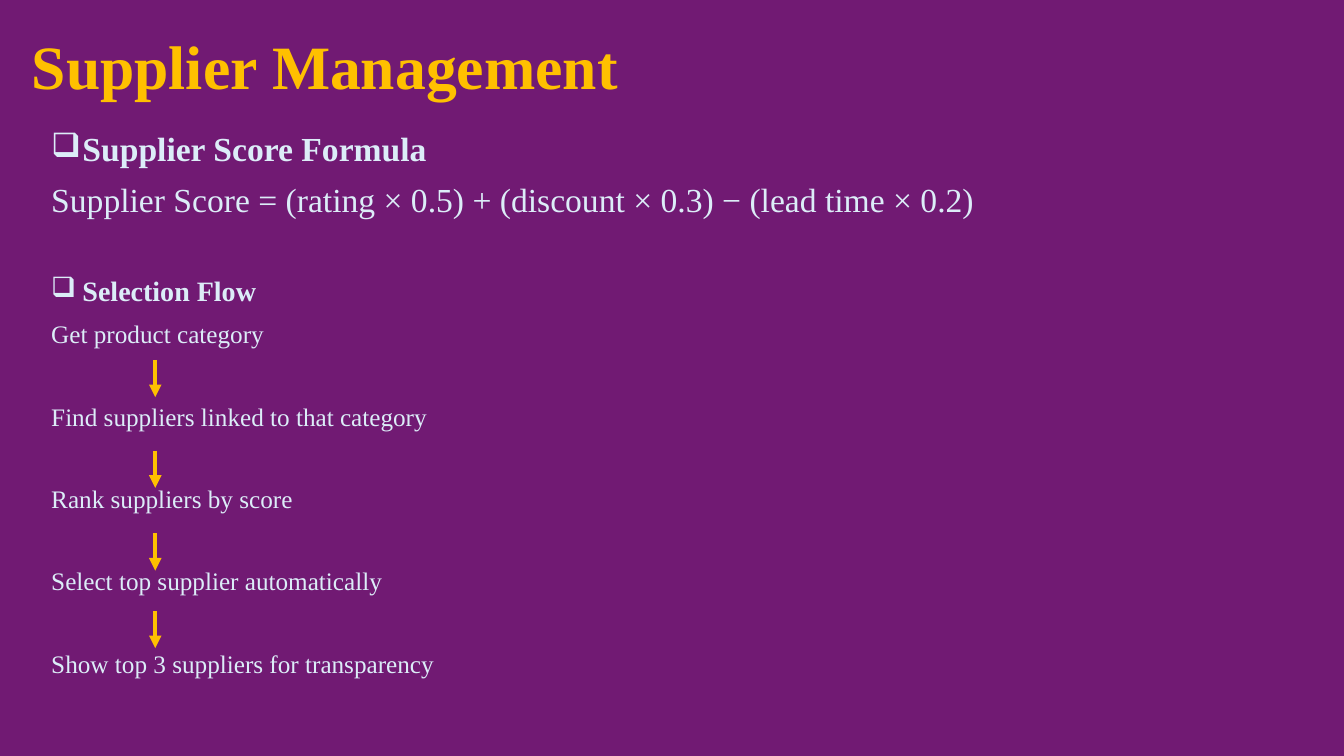
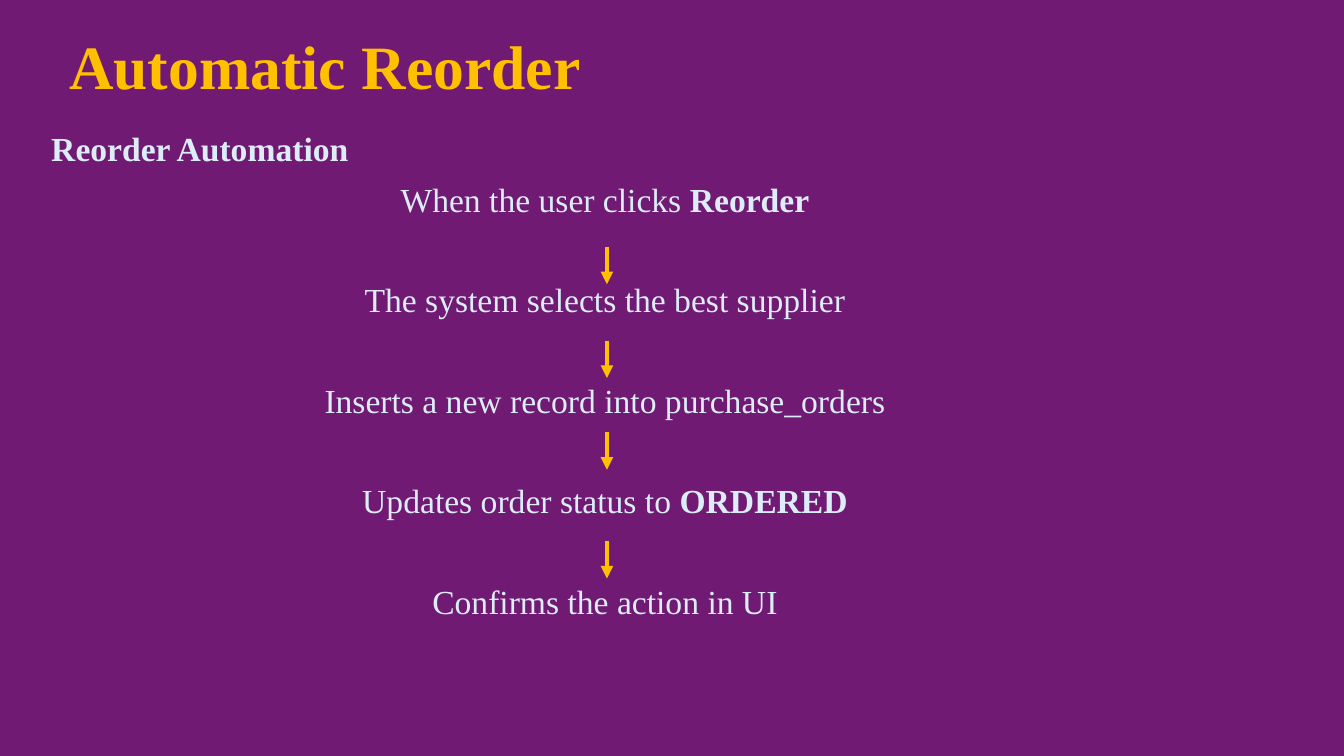
import pptx
import pptx.dml.color
import pptx.enum.dml
import pptx.enum.shapes
import pptx.enum.text
import pptx.oxml
import pptx.oxml.ns
import pptx.util

Inches = pptx.util.Inches
Pt = pptx.util.Pt
ALIGN = pptx.enum.text.PP_ALIGN

COLORS = {"background": "711A73", "accent": "FFC000", "text": "DCEDF8"}
FONT = "Times New Roman"
LINE_SPACING = 0.9
PARAGRAPH_GAP = 10
ARROW_LENGTH = 0.37
BULLET_INDENT = Inches(0.31)


def rgb(name):
    return pptx.dml.color.RGBColor.from_string(COLORS[name])


def add_xml(parent, tag, **attributes):
    child = pptx.oxml.parse_xml(f"<a:{tag} {pptx.oxml.ns.nsdecls('a')}/>")
    for key, value in attributes.items():
        child.set(key, value)
    parent.append(child)


class FlowDeck:
    """Holds the shared style, the current page and its body text box."""

    def __init__(self):
        self.deck = pptx.Presentation()
        self.deck.slide_width = Inches(13.33)
        self.deck.slide_height = Inches(7.5)
        fill = self.deck.slide_master.background.fill
        fill.solid()
        fill.fore_color.rgb = rgb("background")

    def style_span(self, span, size, color, bold):
        span.font.name = FONT
        span.font.size = Pt(size)
        span.font.bold = bold
        span.font.color.rgb = rgb(color)

    def add_page(self, title):
        self.page = self.deck.slides.add_slide(self.deck.slide_layouts[5])
        box = self.page.shapes.title
        box.left, box.top = Inches(0), Inches(0.08)
        box.width, box.height = Inches(6.45), Inches(0.99)
        frame = box.text_frame
        frame.text = title
        frame.auto_size = pptx.enum.text.MSO_AUTO_SIZE.NONE
        frame.vertical_anchor = pptx.enum.text.MSO_ANCHOR.BOTTOM
        para = frame.paragraphs[0]
        para.alignment = ALIGN.CENTER
        para.line_spacing = LINE_SPACING
        self.style_span(para.runs[0], 44, "accent", True)

        body = self.page.shapes.add_textbox(
            Inches(0.41), Inches(1.27), Inches(11.18), Inches(6))
        self.body = body.text_frame
        self.body.word_wrap = True

    def add_line(self, text, size, strong="", align=ALIGN.LEFT, skip=False, bullet=False):
        """Add a body paragraph ending in bold `strong`; `skip` leaves a line's gap above."""
        para = self.body.paragraphs[0]
        if para.runs:
            para = self.body.add_paragraph()
        para.alignment = align
        para.line_spacing = LINE_SPACING
        gap = PARAGRAPH_GAP
        if skip:
            gap += PARAGRAPH_GAP + 1.2 * LINE_SPACING * size
        para.space_before = Pt(round(gap, 1))
        for content, bold in ((text, False), (strong, True)):
            if content:
                span = para.add_run()
                span.text = content
                self.style_span(span, size, "text", bold)
        if bullet:
            properties = para._p.get_or_add_pPr()
            properties.set("marL", str(BULLET_INDENT))
            properties.set("indent", str(-BULLET_INDENT))
            add_xml(properties, "buChar", char="❑")

    def add_steps(self, steps, size, align=ALIGN.LEFT):
        for index, (text, strong) in enumerate(steps):
            self.add_line(text, size, strong, align, skip=index > 0)

    def add_arrows(self, x, tops):
        for top in tops:
            arrow = self.page.shapes.add_connector(
                pptx.enum.shapes.MSO_CONNECTOR.STRAIGHT,
                Inches(x), Inches(top), Inches(x), Inches(top + ARROW_LENGTH))
            arrow.line.color.rgb = rgb("accent")
            arrow.line.width = Pt(3)
            add_xml(arrow.line._get_or_add_ln(), "tailEnd", type="triangle")
            add_xml(arrow._element.spPr, "effectLst")


def build_supplier_page(flow):
    flow.add_page("Supplier Management")
    flow.add_line("", 24, "Supplier Score Formula", bullet=True)
    flow.add_line("Supplier Score = (rating × 0.5) + (discount × 0.3) − (lead time × 0.2)", 24)
    flow.add_line("", 20, "Selection Flow", skip=True, bullet=True)
    flow.add_steps([
        ("Get product category", ""),
        ("Find suppliers linked to that category", ""),
        ("Rank suppliers by score", ""),
        ("Select top supplier automatically", ""),
        ("Show top 3 suppliers for transparency", ""),
    ], 18)
    flow.add_arrows(1.54, [3.57, 4.47, 5.29, 6.06])


def build_reorder_page(flow):
    flow.add_page("Automatic Reorder")
    flow.add_line("", 24, "Reorder Automation")
    flow.add_steps([
        ("When the user clicks ", "Reorder"),
        ("The system selects the best supplier", ""),
        ("Inserts a new record into purchase_orders", ""),
        ("Updates order status to ", "ORDERED"),
        ("Confirms the action in UI", ""),
    ], 24, ALIGN.CENTER)
    flow.add_arrows(6.02, [2.45, 3.38, 4.29, 5.37])


def main():
    flow = FlowDeck()
    build_supplier_page(flow)
    build_reorder_page(flow)
    flow.deck.save("out.pptx")


if __name__ == "__main__":
    main()
